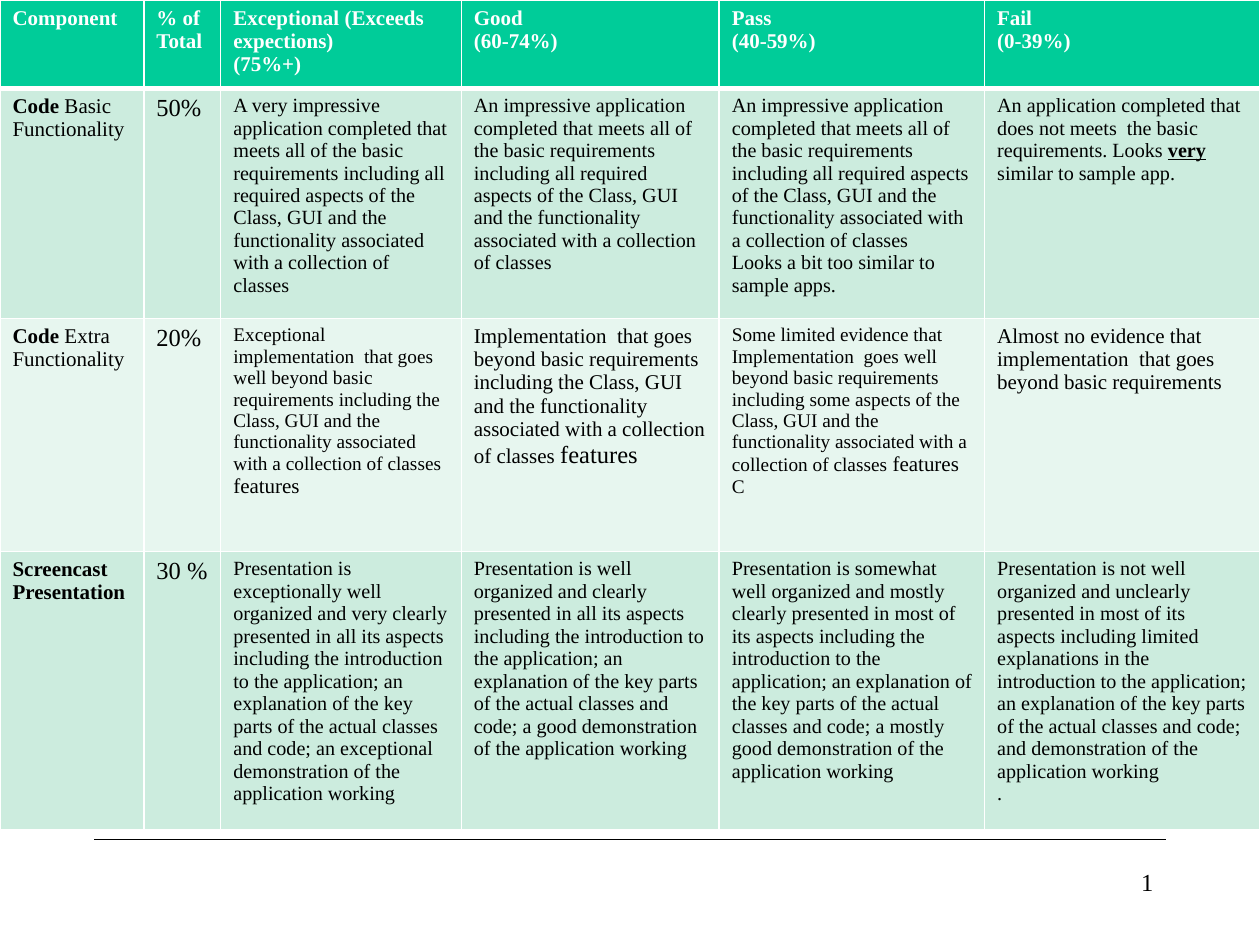
from lxml.etree import SubElement
from pptx import Presentation
from pptx.dml.color import RGBColor
from pptx.enum.shapes import MSO_CONNECTOR
from pptx.enum.text import PP_ALIGN
from pptx.oxml.ns import qn
from pptx.util import Cm, Pt


def rgb(value):
    return RGBColor.from_string(value)


def add_run(p, text, size, color="000000", style=""):
    r = p.add_run()
    r.text = text
    r.font.name = "Times New Roman"
    r.font.size = Pt(size)
    r.font.color.rgb = rgb(color)
    r.font.bold = "b" in style
    r.font.underline = "u" in style


widths = [2.9, 1.55, 4.85, 5.2, 5.35, 5.55]
heights = [1.7, 3.5, 4.7, 4.7]
fills = ["00CC99", "CCECDE", "E7F6EF", "CCECDE"]

headers = [
    ["Component"],
    ["% of", "Total"],
    ["Exceptional (Exceeds expections)", "(75%+)"],
    ["Good", "(60-74%)"],
    ["Pass", "(40-59%)"],
    ["Fail", "(0-39%)"],
]
basic = (
    "impressive application completed that meets all of the basic requirements "
    "including all required aspects of the Class, GUI and the functionality "
    "associated with a collection of classes"
)
extra = (
    "aspects of the Class, GUI and the functionality associated with a collection of classes"
)
collection = (
    "including the Class, GUI and the functionality associated with a collection of classes "
)
intro = "the introduction to the application; an explanation of the key parts of the actual classes and code; "
working = "demonstration of the application working"

rows = [
    [[[(line, 12, "FFFFFF", "b")] for line in lines] for lines in headers],
    [
        [[("Code", 12, "000000", "b"), (" Basic Functionality", 12)]],
        [[("50%", 14)]],
        [[("A very " + basic, 11.5)]],
        [[("An " + basic, 11.5)]],
        [[("An " + basic, 11.5)], [("Looks a bit too similar to sample apps.", 11.5)]],
        [[
            ("An application completed that does not meets  the basic requirements. Looks ", 11.5),
            ("very", 11.5, "000000", "bu"),
            (" similar to sample app.", 11.5),
        ]],
    ],
    [
        [[("Code", 12, "000000", "b"), (" Extra Functionality", 12)]],
        [[("20%", 14)]],
        [[
            ("Exceptional implementation  that goes well beyond basic requirements " + collection, 11),
            ("features", 12),
        ]],
        [[
            ("Implementation  that goes  beyond basic requirements " + collection, 12),
            ("features", 14),
        ]],
        [
            [
                ("Some limited evidence that Implementation  goes well beyond basic "
                 "requirements including some " + extra, 11),
                (" features", 12),
            ],
            [("C", 11)],
        ],
        [[("Almost no evidence that implementation  that goes beyond basic requirements ", 12)]],
    ],
    [
        [[("Screencast", 12, "000000", "b")], [("Presentation", 12, "000000", "b")]],
        [[("30 %", 14)]],
        [[("Presentation is exceptionally well organized and very clearly presented in all "
           "its aspects including " + intro + "an exceptional " + working, 11.5)]],
        [[("Presentation is well organized and clearly presented in all its aspects "
           "including " + intro + "a good " + working, 11.5)]],
        [[("Presentation is somewhat well organized and mostly clearly presented in most "
           "of its aspects including " + intro + "a mostly good " + working, 11.5)]],
        [
            [("Presentation is not well organized and unclearly presented in most of its "
              "aspects including limited explanations in " + intro + "and " + working, 11.5)],
            [(".", 11.5)],
        ],
    ],
]

prs = Presentation()
prs.slide_width, prs.slide_height = Cm(25.4), Cm(19.05)
s = prs.slides.add_slide(prs.slide_layouts[6])

rule = s.shapes.add_connector(MSO_CONNECTOR.STRAIGHT, Cm(1.9), Cm(16.93), Cm(23.5), Cm(16.93))
rule.line.color.rgb = rgb("000000")
rule.line.width = Pt(0.75)
SubElement(rule._element.spPr, qn("a:effectLst"))

number = s.shapes.add_textbox(Cm(18.2), Cm(17.35), Cm(5.3), Cm(1.27))
number.text_frame.word_wrap = True
p = number.text_frame.paragraphs[0]
p.alignment = PP_ALIGN.RIGHT
add_run(p, "1", 14)

frame = s.shapes.add_table(len(heights), len(widths), 0, 0, Cm(sum(widths)), Cm(sum(heights)))
table = frame.table
for column, width in zip(table.columns, widths):
    column.width = Cm(width)

for i, cells in enumerate(rows):
    table.rows[i].height = Cm(heights[i])
    for j, paragraphs in enumerate(cells):
        cell = table.cell(i, j)
        tcPr = cell._tc.get_or_add_tcPr()
        for side in ("L", "R", "T", "B"):
            thick = (i, side) in ((0, "B"), (1, "T"))
            ln = SubElement(tcPr, qn("a:ln" + side), w=str(Pt(3 if thick else 1)))
            SubElement(SubElement(ln, qn("a:solidFill")), qn("a:srgbClr"), val="FFFFFF")
        cell.fill.solid()
        cell.fill.fore_color.rgb = rgb(fills[i])
        tf = cell.text_frame
        for k, runs in enumerate(paragraphs):
            p = tf.add_paragraph() if k else tf.paragraphs[0]
            for run in runs:
                add_run(p, *run)

prs.save("out.pptx")
